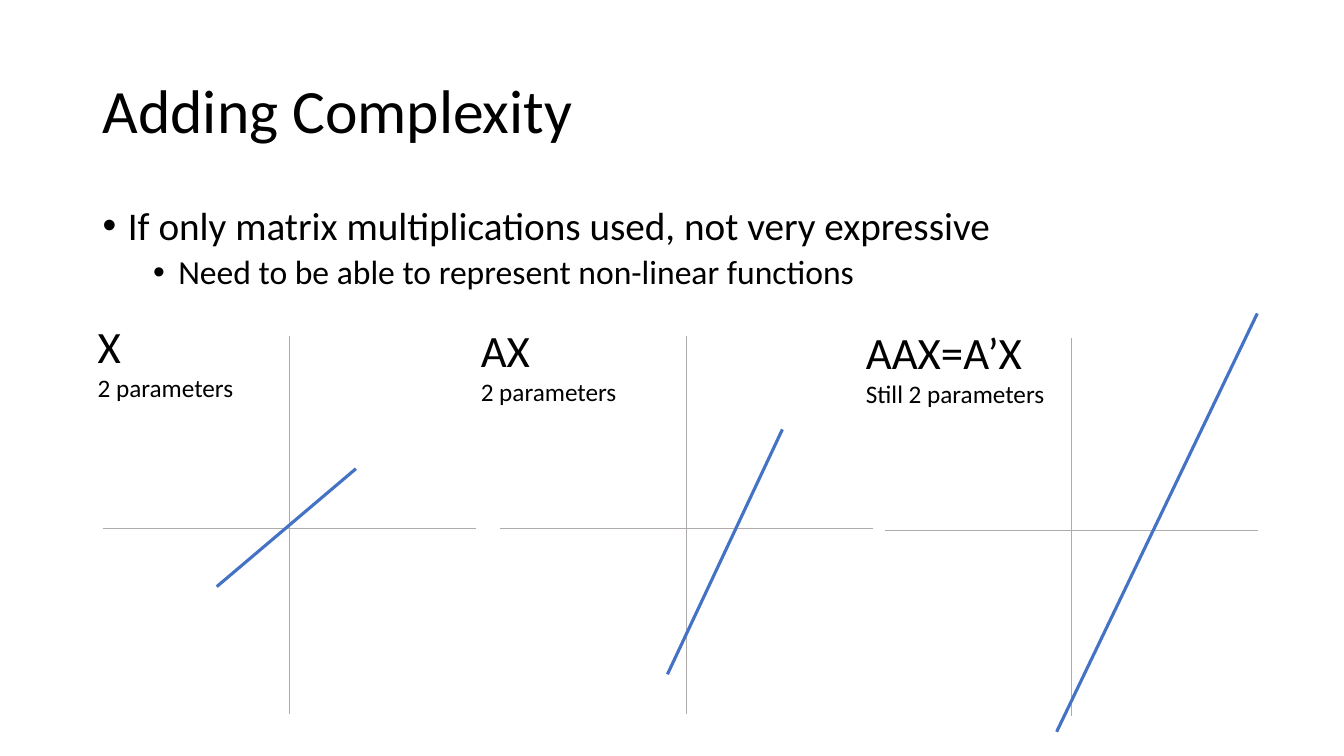
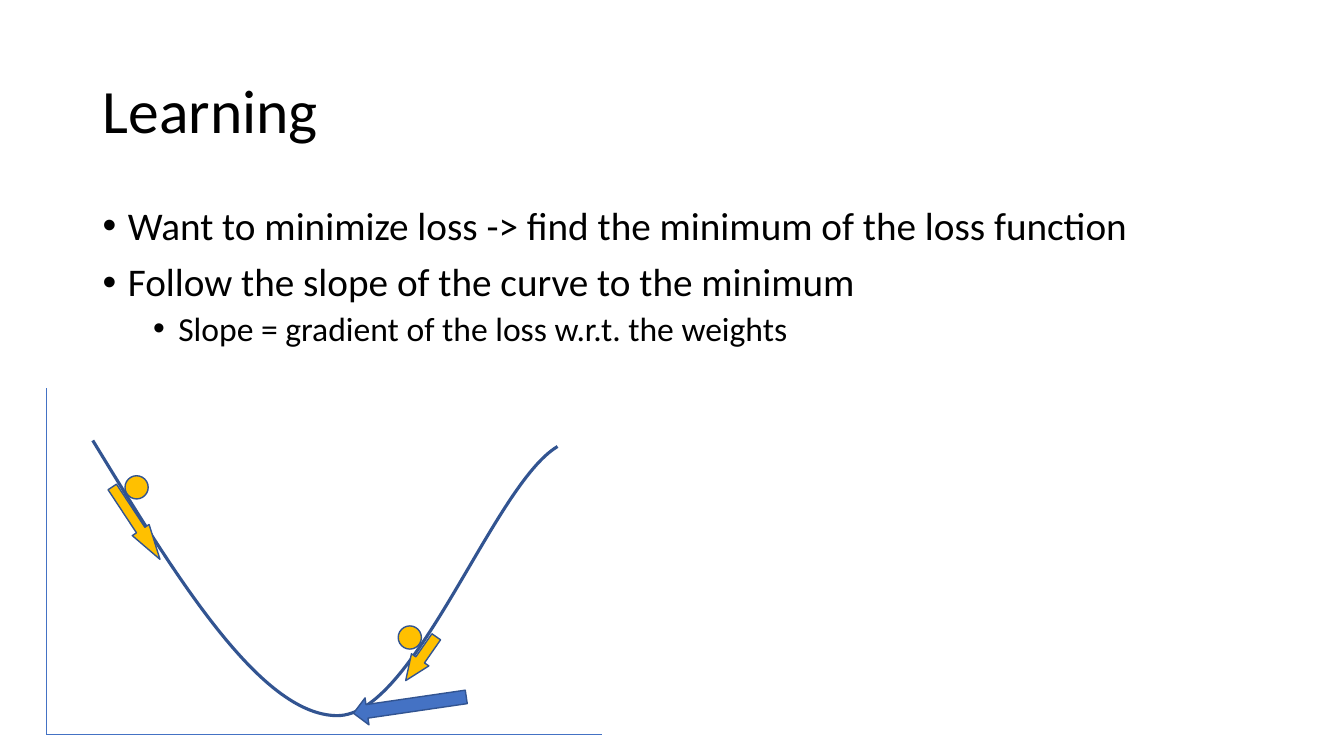
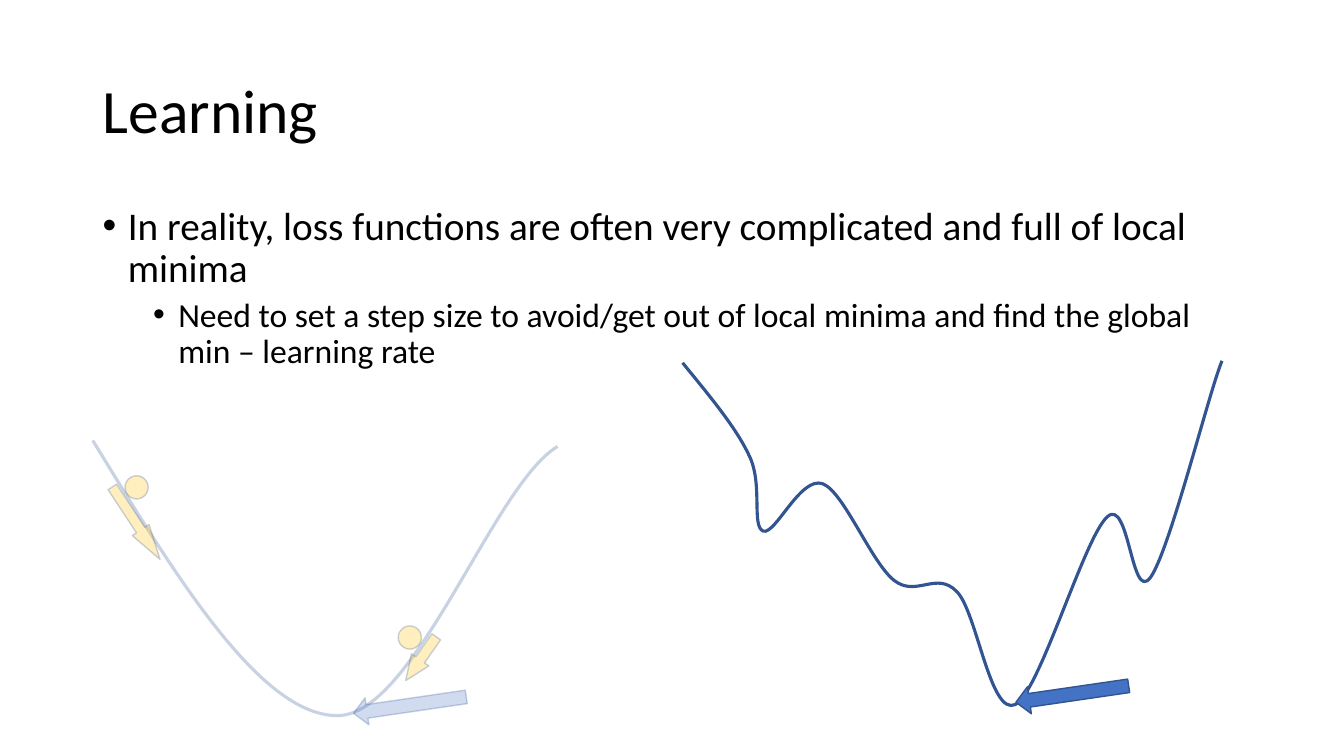
from dataclasses import dataclass

from lxml import etree
from pptx import Presentation
from pptx import util as u
from pptx.dml.color import RGBColor
from pptx.enum import shapes, text
from pptx.oxml.ns import qn


@dataclass(frozen=True)
class Theme:
    font: str = "Calibri"
    ink: str = "000000"
    axis: str = "AFABAB"
    blue: str = "4472C4"
    outline: str = "325491"
    gold: str = "FFC000"
    title: int = 44
    bullet: int = 28
    sub_bullet: int = 24
    formula: int = 32
    caption: int = 18
    thin: float = 0.5
    edge: float = 1
    thick: float = 2.25


THEME = Theme()
WIDTH, HEIGHT = 13.33, 7.5
MARGIN, CONTENT_WIDTH = 0.92, 11.5
FADED = 25

# Curves as a start point followed by Bezier triples, relative to their box
VALLEY = [(0, 0), (0.83, 1.36), (1.66, 2.72), (2.42, 2.73),
          (3.19, 2.74), (3.97, 0.44), (4.61, 0.06)]
RUGGED = [(0, 0.02), (0.26, 0.34), (0.53, 0.66), (0.66, 0.94),
          (0.8, 1.22), (0.68, 1.64), (0.8, 1.69),
          (0.92, 1.73), (1.17, 1.14), (1.39, 1.22),
          (1.6, 1.3), (1.87, 2), (2.1, 2.18),
          (2.32, 2.35), (2.52, 2.08), (2.72, 2.29),
          (2.92, 2.49), (3.05, 3.53), (3.3, 3.41),
          (3.54, 3.29), (3.98, 1.76), (4.21, 1.55),
          (4.43, 1.34), (4.45, 2.41), (4.64, 2.15),
          (4.83, 1.89), (5.22, 0.31), (5.35, 0)]


def inches(values):
    return [u.Inches(value) for value in values]


def paint(fill, color, opacity=100):
    fill.solid()
    fill.fore_color.rgb = RGBColor.from_string(color)
    if opacity < 100:
        for rgb in fill._xPr.iter(qn("a:srgbClr")):
            etree.SubElement(rgb, qn("a:alpha"), val=str(opacity * 1000))


def draw_outline(line, color, width, opacity=100):
    line.width = u.Pt(width)
    paint(line.fill, color, opacity)


def add_paragraph(frame, content, first=False, size=THEME.bullet, color=THEME.ink,
                  level=None, spacing=None, before=0):
    paragraph = frame.paragraphs[0] if first else frame.add_paragraph()
    if level is not None:
        paragraph.level = level
        props = paragraph._p.get_or_add_pPr()
        props.set("marL", str(u.Inches(0.25 + 0.5 * level)))
        props.set("indent", str(u.Inches(-0.25)))
        etree.SubElement(props, qn("a:buFont"), typeface="Arial")
        etree.SubElement(props, qn("a:buChar"), char="•")
    if spacing:
        paragraph.line_spacing = spacing
    if before and not first:
        paragraph.space_before = u.Pt(before)
    run = paragraph.add_run()
    run.text = content
    run.font.name = THEME.font
    run.font.size = u.Pt(size)
    run.font.color.rgb = RGBColor.from_string(color)


def add_text(slide, box, entries, anchor=text.MSO_ANCHOR.TOP):
    """Each entry is a text with its paragraph format."""
    frame = slide.shapes.add_textbox(*inches(box)).text_frame
    frame.word_wrap = True
    frame.vertical_anchor = anchor
    for i, (content, style) in enumerate(entries):
        add_paragraph(frame, content, first=i == 0, **style)


def add_line(slide, start, end, color, width):
    line = slide.shapes.add_connector(
        shapes.MSO_CONNECTOR.STRAIGHT, *inches((*start, *end)))
    draw_outline(line.line, color, width)
    etree.SubElement(line._element.spPr, qn("a:effectLst"))


def add_figure(slide, kind, box, color, opacity, rotation=0, adjustments=()):
    figure = slide.shapes.add_shape(kind, *inches(box))
    figure.shadow.inherit = False
    figure.rotation = rotation
    for i, value in enumerate(adjustments):
        figure.adjustments[i] = value
    paint(figure.fill, color, opacity)
    draw_outline(figure.line, THEME.outline, THEME.edge, opacity)


def add_curve(slide, left, top, points, opacity=100):
    start, *controls = [inches((left + x, top + y)) for x, y in points]
    builder = slide.shapes.build_freeform(*start)
    builder.add_line_segments(controls, close=False)
    curve = builder.convert_to_shape()
    # Turn each three straight segments into one cubic segment
    segments = list(curve._element.iter(qn("a:lnTo")))
    for i in range(0, len(segments), 3):
        cubic = etree.Element(qn("a:cubicBezTo"))
        segments[i].addprevious(cubic)
        for segment in segments[i:i + 3]:
            cubic.append(segment[0])
            segment.getparent().remove(segment)
    curve.shadow.inherit = False
    curve.fill.background()
    draw_outline(curve.line, THEME.outline, THEME.thick, opacity)


def add_heading(slide, title, bullets, body_height):
    add_text(slide, (MARGIN, 0.4, CONTENT_WIDTH, 1.45),
             [(title, dict(size=THEME.title, spacing=0.9))],
             anchor=text.MSO_ANCHOR.MIDDLE)
    styles = [dict(level=0, size=THEME.bullet, spacing=0.9, before=10),
              dict(level=1, size=THEME.sub_bullet, spacing=0.9, before=5)]
    add_text(slide, (MARGIN, 2, CONTENT_WIDTH, body_height),
             [(content, styles[level]) for level, content in bullets])


def add_plot(slide, box, formula, caption, label, start, end):
    """Crossed axes with one straight function; label is dx, dy, width."""
    left, top, width, height = box
    middle, level = left + width / 2, top + 1.91
    add_line(slide, (middle, top), (middle, top + height), THEME.axis, THEME.thin)
    add_line(slide, (left + width, level), (left, level), THEME.axis, THEME.thin)
    add_line(slide, (left + start[0], top + start[1]),
             (left + end[0], top + end[1]), THEME.blue, THEME.thick)
    dx, dy, label_width = label
    add_text(slide, (left + dx, top + dy, label_width, 0.94),
             [(formula, dict(size=THEME.formula)), (caption, dict(size=THEME.caption))])


def add_minimum_arrow(slide, left, top, opacity=100):
    add_figure(slide, shapes.MSO_SHAPE.RIGHT_ARROW, (left, top, 1.13, 0.27),
               THEME.blue, opacity, 171.7)


def add_valley(slide, left, top, opacity=100):
    """Smooth loss curve with two balls rolling towards its minimum."""
    add_curve(slide, left, top, VALLEY, opacity)
    add_minimum_arrow(slide, left + 2.58, top + 2.49, opacity)
    for x, y in [(0.32, 0.35), (3.03, 1.84)]:
        add_figure(slide, shapes.MSO_SHAPE.OVAL, (left + x, top + y, 0.23, 0.23),
                   THEME.gold, opacity)
    slopes = [((0, 0.72, 0.86, 0.2), 56.6, 1.737),
              ((2.99, 2.06, 0.53, 0.21), 124.9, 1.194)]
    for (x, y, length, breadth), rotation, head in slopes:
        add_figure(slide, shapes.MSO_SHAPE.RIGHT_ARROW,
                   (left + x, top + y, length, breadth),
                   THEME.gold, opacity, rotation, (0.5, head))


def add_rugged_loss(slide, left, top):
    add_curve(slide, left, top, RUGGED)
    add_minimum_arrow(slide, left + 3.3, top + 3.17)


def add_corner_axes(slide, box):
    left, top, width, height = box
    origin = (left, top + height)
    for end in [(left + width, top + height), (left, top)]:
        add_line(slide, origin, end, THEME.blue, THEME.thin)


def complexity_slide(slide):
    add_heading(slide, "Adding Complexity", [
        (0, "If only matrix multiplications used, not very expressive"),
        (1, "Need to be able to represent non-linear functions")], 1)
    plots = [
        (1.02, 3.33, "X", "2 parameters", (-0.15, -0.22, 2.13), (1.13, 2.49), (2.51, 1.32)),
        (4.96, 3.33, "AX", "2 parameters", (-0.29, -0.18, 1.85), (1.66, 3.36), (2.8, 0.93)),
        (8.78, 3.35, "AAX=A’X", "Still 2 parameters", (-0.29, -0.18, 2.47),
         (1.7, 3.91), (3.69, -0.24))]
    for left, top, *content in plots:
        add_plot(slide, (left, top, 3.7, 3.75), *content)


def gradient_slide(slide):
    add_heading(slide, "Learning", [
        (0, "Want to minimize loss -> find the minimum of the loss function"),
        (0, "Follow the slope of the curve to the minimum"),
        (1, "Slope = gradient of the loss w.r.t. the weights")], 1.69)
    add_valley(slide, MARGIN, 4.37)
    add_corner_axes(slide, (0.46, 3.85, 5.51, 3.44))


def local_minima_slide(slide):
    add_heading(slide, "Learning", [
        (0, "In reality, loss functions are often very complicated and full of local minima"),
        (1, "Need to set a step size to avoid/get out of local minima and find the global "
            "min – learning rate")], 1.75)
    add_valley(slide, MARGIN, 4.37, FADED)
    add_rugged_loss(slide, 6.77, 3.58)


def main():
    deck = Presentation()
    deck.slide_width, deck.slide_height = inches((WIDTH, HEIGHT))
    blank = deck.slide_layouts[6]
    for build in (complexity_slide, gradient_slide, local_minima_slide):
        build(deck.slides.add_slide(blank))
    deck.save("out.pptx")


if __name__ == "__main__":
    main()
